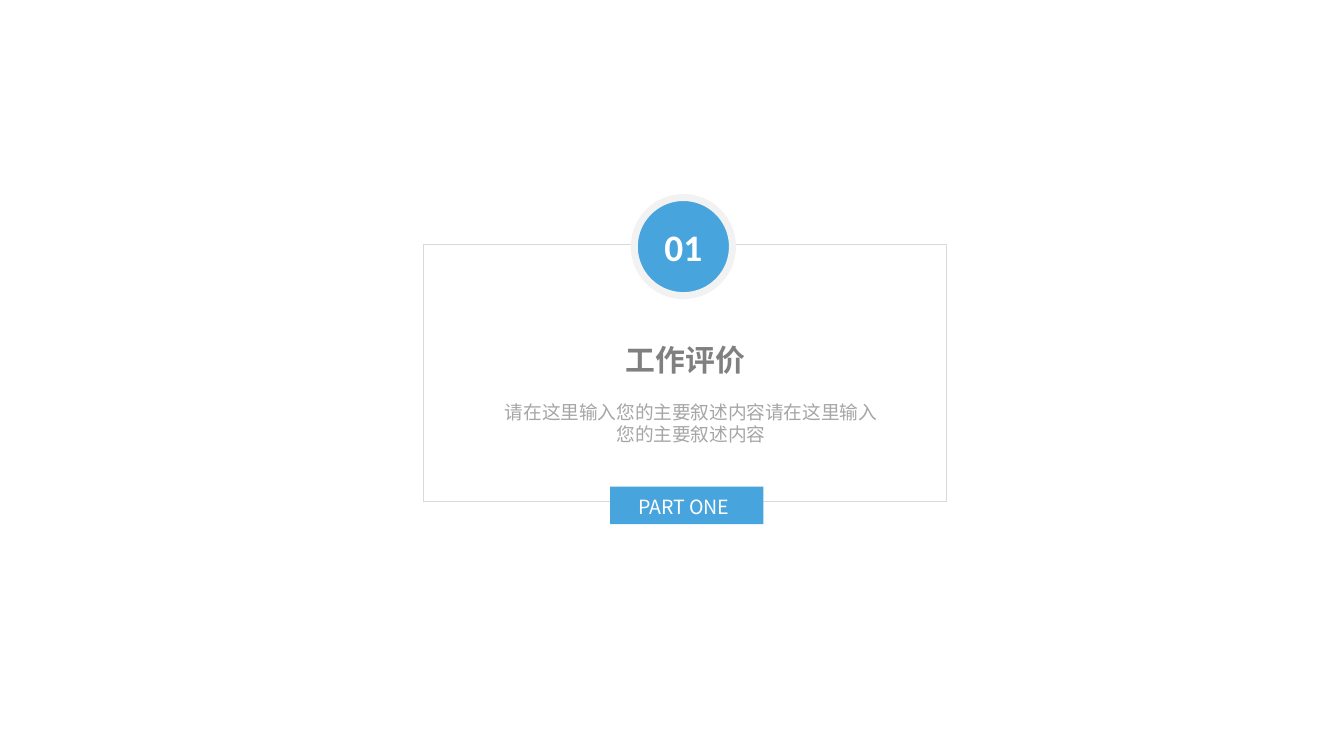
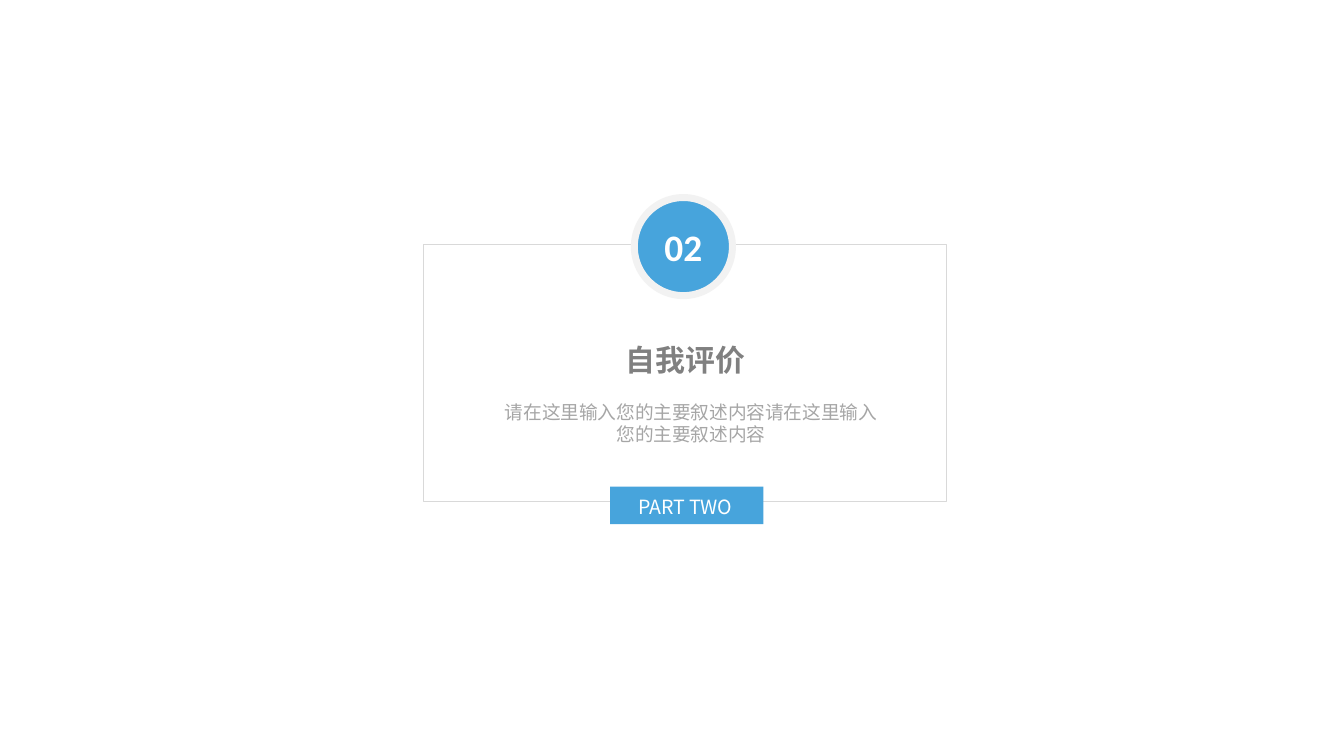
from dataclasses import dataclass
from typing import Optional

from lxml.etree import SubElement
from pptx import Presentation
from pptx.dml.color import RGBColor
from pptx.enum.shapes import MSO_SHAPE
from pptx.enum.text import MSO_ANCHOR, MSO_AUTO_SIZE, PP_ALIGN
from pptx.oxml.ns import qn
from pptx.util import Inches, Pt

BLUE = RGBColor(0x47, 0xA4, 0xDC)
WHITE = RGBColor(0xFF, 0xFF, 0xFF)
RING = RGBColor(0xF2, 0xF2, 0xF2)
EDGE = RGBColor(0xD9, 0xD9, 0xD9)
GREY = RGBColor(0x80, 0x80, 0x80)
PALE = RGBColor(0xA6, 0xA6, 0xA6)
SANS = "Noto Sans CJK SC"
BODY = "请在这里输入您的主要叙述内容" * 2


@dataclass(frozen=True)
class Box:
    left: float
    top: float
    width: float
    height: float

    def args(self) -> tuple:
        return tuple(Inches(n) for n in (self.left, self.top, self.width, self.height))


@dataclass(frozen=True)
class Style:
    size: float
    color: RGBColor
    name: str = SANS
    bold: bool = False
    align: PP_ALIGN = PP_ALIGN.CENTER


@dataclass(frozen=True)
class Part:
    num: str
    title: str
    label: str
    width: float


# Shared places and text styles
FRAME = Box(3.15, 1.82, 3.89, 1.91)
DISC = Box(4.72, 1.47, 0.73, 0.73)
BAND = Box(4.54, 3.62, 1.14, 0.28)
HEAD = Box(4.55, 2.49, 1.1, 0.37)
NOTE = Box(3.62, 2.93, 3.04, 0.44)

NUMBER = Style(20, WHITE, "Calibri", True)
TITLE = Style(16, GREY, bold=True)
TEXT = Style(10, PALE)
LABEL = Style(10.5, WHITE, align=PP_ALIGN.LEFT)

PARTS = [
    Part("01", "工作评价", "PART ONE", 0.94),
    Part("02", "自我评价", "PART TWO", 0.97),
]


def write(shape, text: str, style: Style, **frame) -> None:
    """Fill a shape with one styled paragraph."""
    area = shape.text_frame
    for key, value in frame.items():
        setattr(area, key, value)
    para = area.paragraphs[0]
    para.alignment = style.align
    run = para.add_run()
    run.text = text
    look = {"name": style.name, "size": Pt(style.size), "bold": style.bold}
    for key, value in look.items():
        setattr(run.font, key, value)
    run.font.color.rgb = style.color
    SubElement(run.font._element, qn("a:ea"), typeface=style.name)


def draw(slide, kind: MSO_SHAPE, box: Box, fill: Optional[RGBColor] = None,
         line: Optional[RGBColor] = None, width: float = 0):
    """Add a flat preset shape."""
    shape = slide.shapes.add_shape(kind, *box.args())
    shape.shadow.inherit = False
    if fill is None:
        shape.fill.background()
    else:
        shape.fill.solid()
        shape.fill.fore_color.rgb = fill
    if line is None:
        shape.line.fill.background()
    else:
        shape.line.color.rgb = line
        shape.line.width = Pt(width)
    return shape


def build(deck, part: Part) -> None:
    slide = deck.slides.add_slide(deck.slide_layouts[5])
    grow = {"auto_size": MSO_AUTO_SIZE.SHAPE_TO_FIT_TEXT,
            "vertical_anchor": MSO_ANCHOR.TOP}

    # Frame, number disc and label band
    draw(slide, MSO_SHAPE.RECTANGLE, FRAME, line=EDGE, width=0.5)
    disc = draw(slide, MSO_SHAPE.OVAL, DISC, BLUE, RING, 3.75)
    write(disc, part.num, NUMBER, vertical_anchor=MSO_ANCHOR.MIDDLE)
    draw(slide, MSO_SHAPE.RECTANGLE, BAND, BLUE)

    # Title
    title = slide.shapes.title
    for key, value in zip(("left", "top", "width", "height"), HEAD.args()):
        setattr(title, key, value)
    write(title, part.title, TITLE, word_wrap=False, **grow)

    # Description and label
    note = slide.shapes.add_textbox(*NOTE.args())
    write(note, BODY, TEXT, word_wrap=True, **grow)
    label = slide.shapes.add_textbox(*Box(4.65, 3.63, part.width, 0.28).args())
    write(label, part.label, LABEL, word_wrap=False, **grow)


def main() -> None:
    deck = Presentation()
    # Widescreen, 16 to 9
    deck.slide_width = Inches(10)
    deck.slide_height = Inches(10) * 9 // 16
    for part in PARTS:
        build(deck, part)
    deck.save("out.pptx")


if __name__ == "__main__":
    main()
